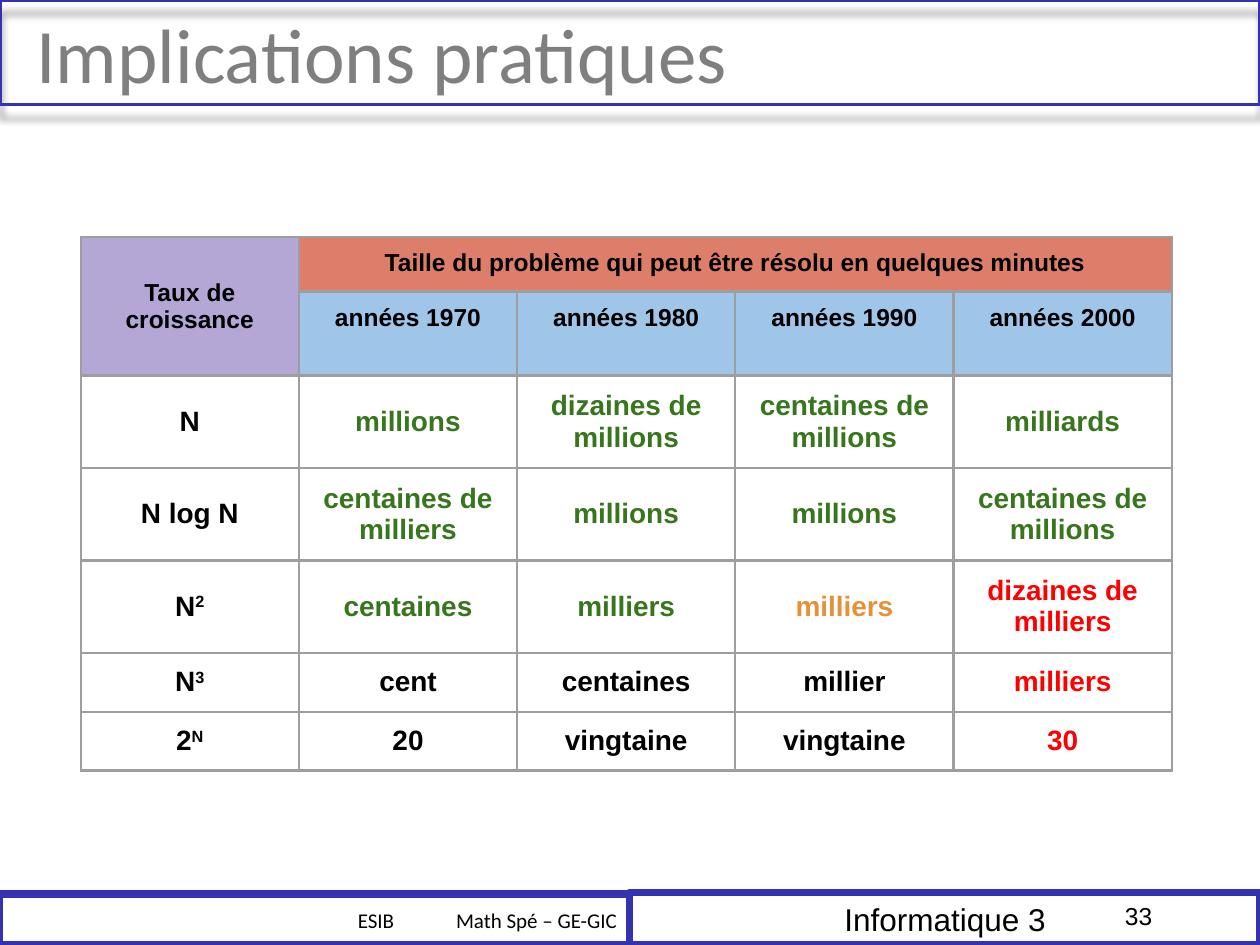
from dataclasses import dataclass

from lxml.etree import SubElement
from pptx import Presentation
from pptx.dml.color import RGBColor as RGB
from pptx.enum.shapes import MSO_SHAPE as Shape
from pptx.enum.text import MSO_ANCHOR as Anchor, MSO_AUTO_SIZE as AutoSize, PP_ALIGN as Align
from pptx.oxml.ns import qn
from pptx.util import Inches, Pt


@dataclass(frozen=True)
class Theme:
    blue: str = "3333B2"
    black: str = "000000"
    grey: str = "7F7F7F"
    border: str = "9E9E9E"
    purple: str = "B4A7D6"
    salmon: str = "DD7E6B"
    sky: str = "9FC5E8"
    green: str = "38761D"
    orange: str = "E69138"
    red: str = "FF0000"
    body: str = "Arial"
    display: str = "Calibri"
    title_pt: int = 44
    course_pt: int = 18
    value_pt: int = 16
    header_pt: int = 14
    footer_pt: int = 12


T = Theme()


@dataclass(frozen=True)
class Frame:
    left: float
    top: float
    width: float
    height: float
    line_pt: float = 0

    def box(self):
        return [Inches(v) for v in (self.left, self.top, self.width, self.height)]


@dataclass(frozen=True)
class Value:
    text: str
    color: str = T.black


@dataclass(frozen=True)
class Growth:
    base: str
    exponent: str
    height: float
    values: tuple[Value, ...]


TITLE_BAR = Frame(0, 0, 10, 0.83, 2)
COURSE = Frame(5, 7.08, 5, 0.42, 4)
SCHOOL = Frame(0, 7.1, 5, 0.4, 4)
FOOTER_RIMS = [Frame(left, 7.08, 5, 0.42, 2.75) for left in (5, 0)]
PAGE = Frame(8.83, 7.1, 1.17, 0.4)
TABLE = Frame(0.64, 1.88, 8.66, 4.03)
HEADER_HEIGHTS = (0.42, 0.64)
TWO_LINES, ONE_LINE = 0.69, 0.45

DECADES = (1970, 1980, 1990, 2000)
GROWTHS = (
    Growth("N", "", TWO_LINES, (
        Value("millions", T.green), Value("dizaines de millions", T.green),
        Value("centaines de millions", T.green), Value("milliards", T.green))),
    Growth("N log N", "", TWO_LINES, (
        Value("centaines de milliers", T.green), Value("millions", T.green),
        Value("millions", T.green), Value("centaines de millions", T.green))),
    Growth("N", "2", TWO_LINES, (
        Value("centaines", T.green), Value("milliers", T.green),
        Value("milliers", T.orange), Value("dizaines de milliers", T.red))),
    Growth("N", "3", ONE_LINE, (
        Value("cent"), Value("centaines"), Value("millier"), Value("milliers", T.red))),
    Growth("2", "N", ONE_LINE, (
        Value("20"), Value("vingtaine"), Value("vingtaine"), Value("30", T.red))),
)


def add_run(p, text: str, size: float, font: str = T.body, color: str = T.black,
            bold: bool = False, raised: bool = False) -> None:
    r = p.add_run()
    r.text = text
    r.font.size, r.font.name, r.font.bold = Pt(size), font, bold
    r.font.color.rgb = RGB.from_string(color)
    if raised:
        r.font._element.set("baseline", "30000")


def add_frame(slide, frame: Frame):
    s = slide.shapes.add_shape(Shape.RECTANGLE, *frame.box())
    s.shadow.inherit = False
    s.fill.background()
    s.line.color.rgb = RGB.from_string(T.blue)
    s.line.width = Pt(frame.line_pt)
    s.text_frame.vertical_anchor = Anchor.MIDDLE
    return s


def add_drop_shadow(s) -> None:
    effects = s._element.spPr.find(qn("a:effectLst"))
    shadow = SubElement(effects, qn("a:outerShdw"), blurRad=str(Pt(4)), dist=str(Pt(7)),
                        dir="5400000", rotWithShape="0")
    color = SubElement(shadow, qn("a:srgbClr"), val=T.black)
    SubElement(color, qn("a:alpha"), val="40000")


def add_borders(cell) -> None:
    for side in ("lnL", "lnR", "lnT", "lnB"):
        ln = SubElement(cell._tc.get_or_add_tcPr(), qn(f"a:{side}"), w=str(Pt(1.5)))
        SubElement(SubElement(ln, qn("a:solidFill")), qn("a:srgbClr"), val=T.border)


def fill_cell(cell, text: str, size: float, color: str = T.black, fill: str = "",
              exponent: str = "", anchor=Anchor.MIDDLE) -> None:
    cell.vertical_anchor = anchor
    if fill:
        cell.fill.solid()
        cell.fill.fore_color.rgb = RGB.from_string(fill)
    p = cell.text_frame.paragraphs[0]
    p.alignment = Align.CENTER
    add_run(p, text, size, color=color, bold=True)
    if exponent:
        add_run(p, exponent, size, color=color, bold=True, raised=True)


def add_title(slide) -> None:
    add_drop_shadow(add_frame(slide, TITLE_BAR))
    title = slide.shapes.title
    title.left, title.top, title.width, title.height = Frame(0, 0, 9.75, 0.83).box()
    tf = title.text_frame
    tf.auto_size, tf.vertical_anchor = AutoSize.NONE, Anchor.MIDDLE
    tf.margin_left = tf.margin_right = tf.margin_top = tf.margin_bottom = Inches(0.1)
    p = tf.paragraphs[0]
    p.alignment = Align.LEFT
    pPr = p._p.get_or_add_pPr()
    pPr.set("marL", str(Inches(0.2)))
    pPr.set("indent", str(Inches(-0.01)))
    add_run(p, "Implications pratiques", T.title_pt, T.display, T.grey)


def add_footer(slide) -> None:
    p = add_frame(slide, COURSE).text_frame.paragraphs[0]
    p.alignment = Align.CENTER
    add_run(p, "Informatique 3", T.course_pt)

    # School and class, set apart by a tab stop
    tf = add_frame(slide, SCHOOL).text_frame
    tf.margin_left, tf.margin_right = Inches(2.84), 0
    p = tf.paragraphs[0]
    p.alignment = Align.LEFT
    tabs = SubElement(p._p.get_or_add_pPr(), qn("a:tabLst"))
    SubElement(tabs, qn("a:tab"), pos=str(Inches(0.78)), algn="l")
    add_run(p, "ESIB\tMath Spé – GE-GIC", T.footer_pt, T.display)

    for rim in FOOTER_RIMS:
        add_frame(slide, rim)

    # Page number
    tf = slide.shapes.add_textbox(*PAGE.box()).text_frame
    tf.word_wrap = True
    add_run(tf.paragraphs[0], "33", T.header_pt)


def add_growth_table(slide) -> None:
    heights = [*HEADER_HEIGHTS, *(g.height for g in GROWTHS)]
    columns = len(DECADES) + 1
    table = slide.shapes.add_table(len(heights), columns, *TABLE.box()).table
    table.first_row = table.horz_banding = False
    for row, height in zip(table.rows, heights):
        row.height = Inches(height)
    for column in table.columns:
        column.width = Inches(TABLE.width / columns)
    for cell in table.iter_cells():
        add_borders(cell)
        cell.fill.background()
        cell.margin_left = cell.margin_right = cell.margin_top = cell.margin_bottom = Inches(0.1)

    # Headers
    table.cell(0, 0).merge(table.cell(1, 0))
    table.cell(0, 1).merge(table.cell(0, columns - 1))
    fill_cell(table.cell(0, 0), "Taux de croissance", T.header_pt, fill=T.purple)
    fill_cell(table.cell(0, 1), "Taille du problème qui peut être résolu en quelques minutes",
              T.header_pt, fill=T.salmon, anchor=Anchor.TOP)
    for c, decade in enumerate(DECADES, 1):
        fill_cell(table.cell(1, c), f"années {decade}", T.header_pt, fill=T.sky,
                  anchor=Anchor.TOP)

    # Growth rates
    for r, growth in enumerate(GROWTHS, len(HEADER_HEIGHTS)):
        fill_cell(table.cell(r, 0), growth.base, T.value_pt, exponent=growth.exponent)
        for c, value in enumerate(growth.values, 1):
            fill_cell(table.cell(r, c), value.text, T.value_pt, value.color)


def main() -> None:
    prs = Presentation()
    prs.slide_width, prs.slide_height = Inches(10), Inches(7.5)
    slide = prs.slides.add_slide(prs.slide_layouts[5])
    add_footer(slide)
    add_title(slide)
    add_growth_table(slide)
    prs.save("out.pptx")


if __name__ == "__main__":
    main()
